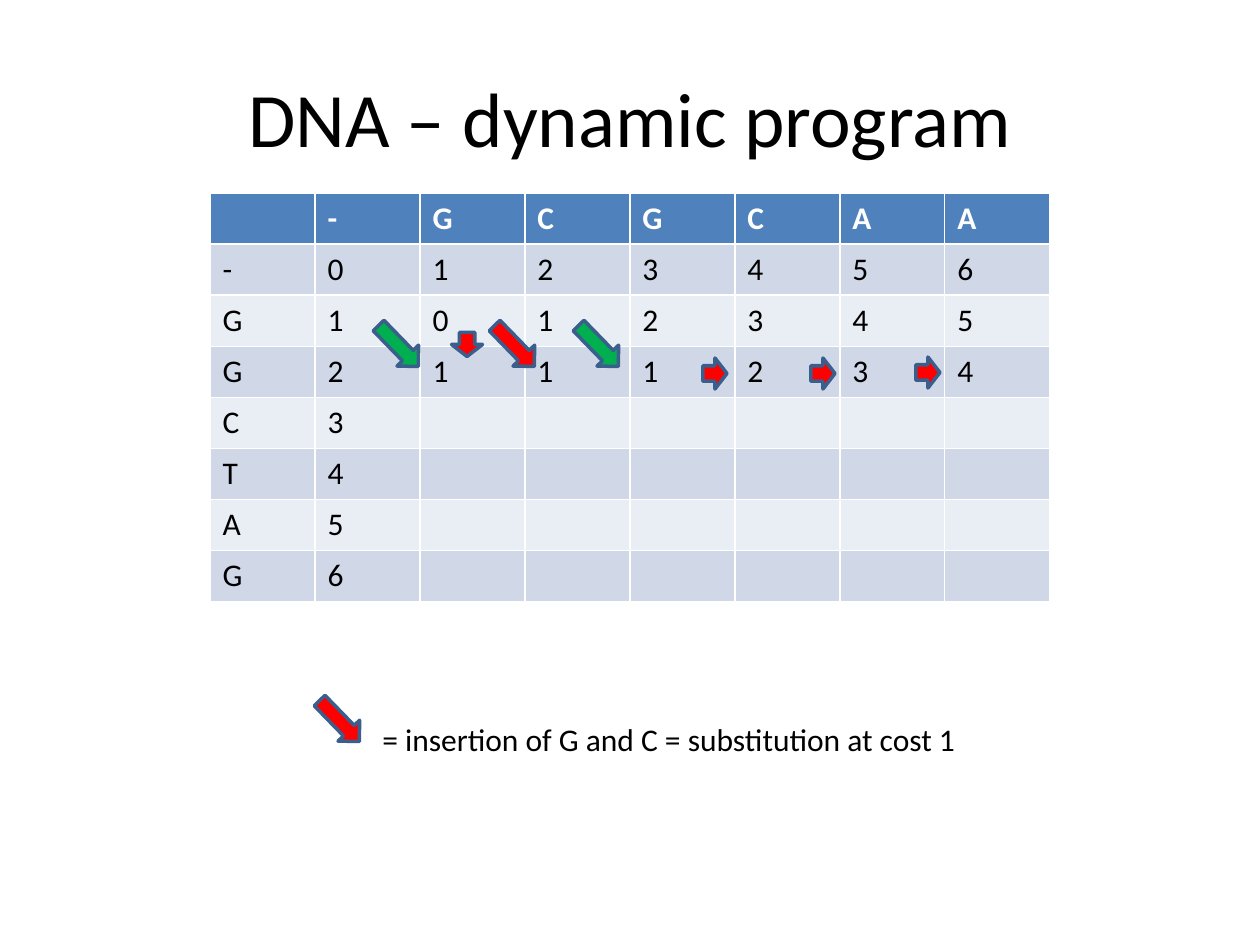
"""Build the slide showing a DNA edit-distance table with its arrows."""
from pptx import Presentation
from pptx.dml.color import RGBColor
from pptx.enum.shapes import MSO_SHAPE
from pptx.enum.text import MSO_ANCHOR, MSO_AUTO_SIZE, PP_ALIGN
from pptx.util import Emu, Pt

RIGHT_ARROW = MSO_SHAPE.RIGHT_ARROW
MIDDLE = MSO_ANCHOR.MIDDLE
CENTER = PP_ALIGN.CENTER
FIT_SHAPE = MSO_AUTO_SIZE.SHAPE_TO_FIT_TEXT

FONT = "Calibri"
BLACK = RGBColor(0x00, 0x00, 0x00)
WHITE = RGBColor(0xFF, 0xFF, 0xFF)
HEADER_BLUE = RGBColor(0x4F, 0x81, 0xBD)
BANDS = (RGBColor(0xD0, 0xD8, 0xE8), RGBColor(0xE9, 0xED, 0xF4))
GREEN = RGBColor(0x00, 0xB0, 0x50)
RED = RGBColor(0xFF, 0x00, 0x00)
OUTLINE = RGBColor(0x3A, 0x5F, 0x8C)

TITLE = "DNA – dynamic program"
LEGEND = "= insertion of G and C = substitution at cost 1"
TOP_SEQUENCE = "-GCGCAA"
SIDE_SEQUENCE = "-GGCTAG"
COSTS = ["0123456", "1012345", "2111234", "3", "4", "5", "6"]

DIAGONAL = (57, 30, 45.8)
ACROSS = (24, 31, 0)
DOWN = (24, 31, 90)
ARROWS = [
    (370, 331, DIAGONAL, GREEN),
    (703, 358, ACROSS, RED),
    (811, 358, ACROSS, RED),
    (916, 357, ACROSS, RED),
    (455, 329, DOWN, RED),
    (486, 331, DIAGONAL, RED),
    (311, 706, DIAGONAL, RED),
    (570, 331, DIAGONAL, GREEN),
]

TABLE_LEFT, TABLE_TOP = 210, 193
COLUMN_WIDTH, ROW_HEIGHT = 105, 51


def px(count):
    return Emu(round(count * 914400 / 126))


def style(para, size, color, bold=False):
    para.font.name = FONT
    para.font.size = Pt(size)
    para.font.bold = bold
    para.font.color.rgb = color


def add_title(page):
    title = page.shapes.title
    title.left, title.top, title.width, title.height = map(px, (63, 38, 1134, 157))
    title.text_frame.text = TITLE
    title.text_frame.vertical_anchor = MIDDLE
    para = title.text_frame.paragraphs[0]
    para.alignment = CENTER
    style(para, 44, BLACK)


def add_cost_table(page):
    rows = [" " + TOP_SEQUENCE]
    rows += [base + costs for base, costs in zip(SIDE_SEQUENCE, COSTS)]
    columns = len(rows[0])
    table = page.shapes.add_table(
        len(rows), columns, px(TABLE_LEFT), px(TABLE_TOP),
        px(columns * COLUMN_WIDTH), px(len(rows) * ROW_HEIGHT)).table
    for row_index, row in enumerate(rows):
        header = row_index == 0
        for column_index, value in enumerate(row.ljust(columns)):
            cell = table.cell(row_index, column_index)
            cell.fill.solid()
            cell.fill.fore_color.rgb = HEADER_BLUE if header else BANDS[(row_index - 1) % 2]
            cell.text = value.strip()
            style(cell.text_frame.paragraphs[0], 18, WHITE if header else BLACK, header)


def add_arrow(page, left, top, form, color):
    width, height, rotation = form
    arrow = page.shapes.add_shape(RIGHT_ARROW, px(left), px(top), px(width), px(height))
    arrow.rotation = rotation
    arrow.shadow.inherit = False
    arrow.fill.solid()
    arrow.fill.fore_color.rgb = color
    arrow.line.color.rgb = OUTLINE
    arrow.line.width = Pt(2)


def add_legend(page):
    box = page.shapes.add_textbox(px(370), px(714), px(606), px(50))
    box.text_frame.word_wrap = False
    box.text_frame.auto_size = FIT_SHAPE
    box.text_frame.text = LEGEND
    style(box.text_frame.paragraphs[0], 18, BLACK)


def main():
    deck = Presentation()
    deck.slide_width, deck.slide_height = px(1260), px(945)
    page = deck.slides.add_slide(deck.slide_layouts[5])
    add_title(page)
    add_cost_table(page)
    for arrow in ARROWS:
        add_arrow(page, *arrow)
    add_legend(page)
    deck.save("out.pptx")


if __name__ == "__main__":
    main()
